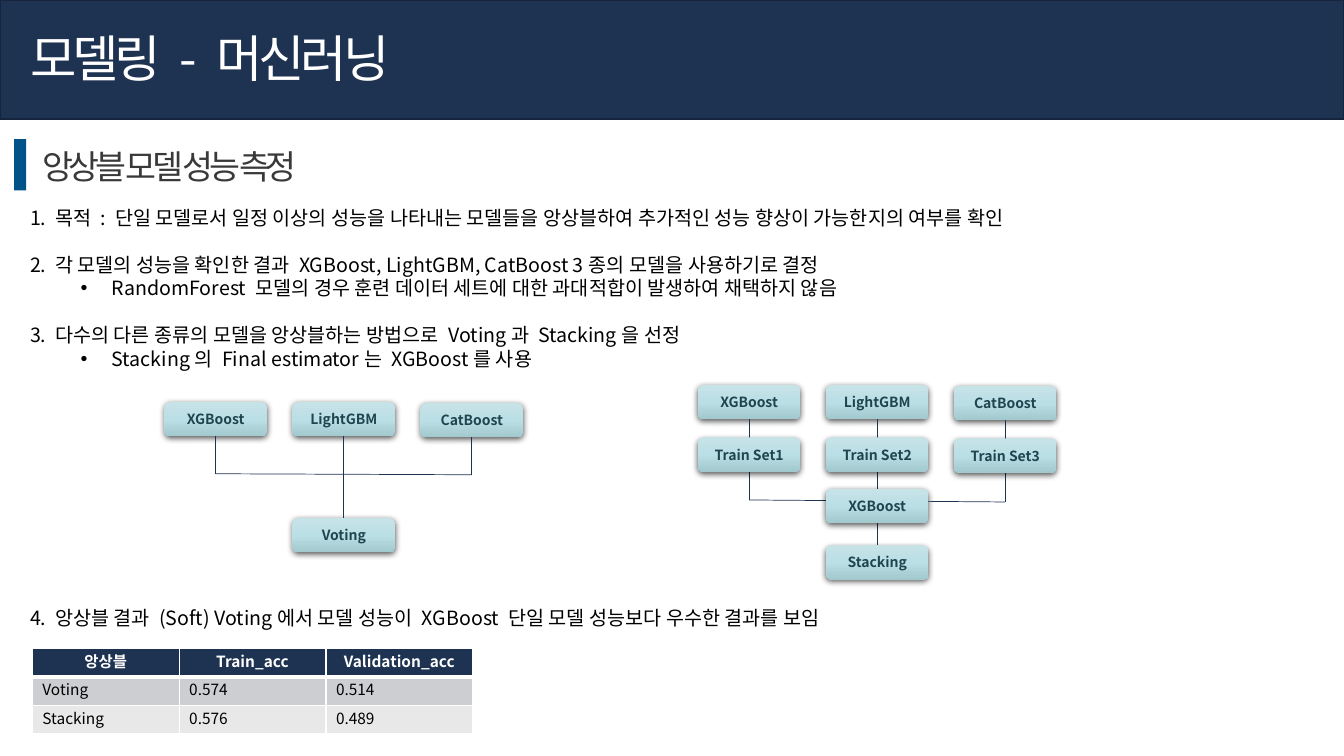
from dataclasses import dataclass

from lxml.etree import SubElement
from pptx import Presentation
from pptx.dml.color import RGBColor
from pptx.enum.shapes import MSO_CONNECTOR as CONN, MSO_SHAPE as SHAPE
from pptx.enum.text import MSO_ANCHOR as ANCHOR, MSO_AUTO_SIZE as FIT, PP_ALIGN as ALIGN
from pptx.oxml import parse_xml
from pptx.oxml.ns import nsdecls, qn
from pptx.util import Inches, Pt

FONT = "Noto Sans CJK KR"
NAVY = RGBColor(0x1E, 0x32, 0x52)
NAVY_EDGE = RGBColor(0x16, 0x25, 0x3D)
ACCENT = RGBColor(0x00, 0x52, 0x89)
GRAY = RGBColor(0x39, 0x39, 0x39)
TEAL = RGBColor(0x20, 0x45, 0x4E)
BLACK = RGBColor(0x00, 0x00, 0x00)
WHITE = RGBColor(0xFF, 0xFF, 0xFF)
BAND_DARK = RGBColor(0xCD, 0xCE, 0xD1)
BAND_LIGHT = RGBColor(0xE8, 0xE8, 0xE9)
NODE_STOPS = (
    (0, RGBColor(0xC6, 0xE3, 0xE8)),
    (50, RGBColor(0xBA, 0xDF, 0xE5)),
    (100, RGBColor(0xA2, 0xC9, 0xCE)),
)
NODE_W, NODE_H, NODE_STEP = 1.02, 0.34, 1.27
LINE_RATIO = 1.2


@dataclass
class Heading:
    text: str
    left: float
    top: float
    width: float
    height: float
    size: int
    color: RGBColor


@dataclass
class Item:
    text: str
    level: int = 0
    lines_before: int = 0


@dataclass
class Node:
    text: str
    col: int
    top: float


@dataclass
class Diagram:
    left: float
    bus_top: float
    bus_drop: float
    inputs: list[Node]
    output: Node
    middle: list[Node]


HEADINGS = [
    Heading("모델링 - 머신러닝", 0.2, 0.22, 3.88, 0.71, 36, WHITE),
    Heading("앙상블 모델 성능 측정", 0.32, 1.4, 3.08, 0.5, 24, GRAY),
]
ITEMS = [
    Item("목적 : 단일 모델로서 일정 이상의 성능을 나타내는 모델들을 앙상블하여 추가적인 성능 향상이 가능한지의 여부를 확인"),
    Item("각 모델의 성능을 확인한 결과 XGBoost, LightGBM, CatBoost 3종의 모델을 사용하기로 결정", 0, 1),
    Item("RandomForest 모델의 경우 훈련 데이터 세트에 대한 과대적합이 발생하여 채택하지 않음", 1),
    Item("다수의 다른 종류의 모델을 앙상블하는 방법으로 Voting과 Stacking을 선정", 0, 1),
    Item("Stacking의 Final estimator는 XGBoost를 사용", 1),
    Item("앙상블 결과 (Soft) Voting에서 모델 성능이 XGBoost 단일 모델 성능보다 우수한 결과를 보임", 0, 10),
]
ROWS = [
    ("앙상블", "Train_acc", "Validation_acc"),
    ("Voting", "0.574", "0.514"),
    ("Stacking", "0.576", "0.489"),
]
ROW_FILLS = (NAVY, BAND_DARK, BAND_LIGHT)


def node_row(names: tuple[str, ...], top: float) -> list[Node]:
    return [Node(name, i, top + (0.01 if i == 2 else 0)) for i, name in enumerate(names)]


MODELS = ("XGBoost", "LightGBM", "CatBoost")
TRAIN_SETS = ("Train Set1", "Train Set2", "Train Set3")
DIAGRAMS = [
    Diagram(1.63, 4.7, 0.01, node_row(MODELS, 3.99), Node("Voting", 1, 5.14), []),
    Diagram(6.92, 4.96, 0.02, node_row(MODELS, 3.82), Node("Stacking", 1, 5.41),
            node_row(TRAIN_SETS, 4.34) + [Node("XGBoost", 1, 4.85)]),
]


def style(p, size: int, color: RGBColor, bold: bool = False, spacing: int = 0) -> None:
    p.line_spacing = Pt(size * LINE_RATIO)
    for r in p.runs:
        r.font.size = Pt(size)
        r.font.name = FONT
        r.font.bold = bold
        r.font.color.rgb = color
        r_pr = r.font._element
        SubElement(r_pr, qn("a:ea")).set("typeface", FONT)
        if spacing:
            r_pr.set("spc", str(spacing * 100))


def add_block(s, left: float, top: float, width: float, height: float, color: RGBColor):
    sp = s.shapes.add_shape(SHAPE.RECTANGLE, Inches(left), Inches(top), Inches(width), Inches(height))
    sp.shadow.inherit = False
    sp.fill.solid()
    sp.fill.fore_color.rgb = color
    sp.line.fill.background()
    return sp


def add_heading(s, h: Heading) -> None:
    tf = s.shapes.add_textbox(Inches(h.left), Inches(h.top), Inches(h.width), Inches(h.height)).text_frame
    tf.word_wrap = False
    tf.auto_size = FIT.SHAPE_TO_FIT_TEXT
    tf.text = h.text
    style(tf.paragraphs[0], h.size, h.color, spacing=-3)


def add_items(s, items: list[Item]) -> None:
    tf = s.shapes.add_textbox(Inches(0.2), Inches(1.99), Inches(12.75), Inches(4.34)).text_frame
    tf.word_wrap = True
    tf.auto_size = FIT.SHAPE_TO_FIT_TEXT
    for i, item in enumerate(items):
        p = tf.add_paragraph() if i else tf.paragraphs[0]
        p.text = item.text
        p.level = item.level
        style(p, 14, BLACK)
        p.space_before = Pt(14 * LINE_RATIO * item.lines_before)
        margin, indent = ((0.25, -0.25), (0.81, -0.31))[item.level]
        p_pr = p._p.get_or_add_pPr()
        p_pr.set("marL", str(Inches(margin)))
        p_pr.set("indent", str(Inches(indent)))
        if item.level:
            SubElement(p_pr, qn("a:buFont")).set("typeface", "Arial")
            SubElement(p_pr, qn("a:buChar")).set("char", "•")
        else:
            SubElement(p_pr, qn("a:buAutoNum")).set("type", "arabicPeriod")


def add_node(shapes, left: float, node: Node):
    sp = shapes.add_shape(SHAPE.ROUNDED_RECTANGLE, Inches(left + node.col * NODE_STEP),
                          Inches(node.top), Inches(NODE_W), Inches(NODE_H))
    sp.line.fill.background()
    sp.shadow.inherit = False
    sp.fill.gradient()
    sp.fill.gradient_angle = 270
    sp_pr = sp._element.spPr
    stops = sp_pr.find(qn("a:gradFill")).find(qn("a:gsLst"))
    stops.clear()
    for pos, color in NODE_STOPS:
        gs = SubElement(stops, qn("a:gs"), pos=str(pos * 1000))
        SubElement(gs, qn("a:srgbClr"), val=str(color))
    sp_pr.find(qn("a:effectLst")).append(parse_xml(
        f'<a:outerShdw {nsdecls("a")} blurRad="{Pt(4.5)}" dist="{Pt(1.5)}" dir="5400000" rotWithShape="0">'
        '<a:srgbClr val="000000"><a:alpha val="63000"/></a:srgbClr></a:outerShdw>'))
    tf = sp.text_frame
    tf.vertical_anchor = ANCHOR.MIDDLE
    tf.text = node.text
    tf.paragraphs[0].alignment = ALIGN.CENTER
    style(tf.paragraphs[0], 10, TEAL, bold=True)
    return sp


def add_line(shapes, x1: float, y1: float, x2: float, y2: float):
    line = shapes.add_connector(CONN.STRAIGHT, Inches(x1), Inches(y1), Inches(x2), Inches(y2))
    line.line.color.rgb = NAVY
    line.line.width = Pt(0.5)
    SubElement(line._element.spPr, qn("a:effectLst"))
    return line


def add_diagram(s, d: Diagram) -> None:
    shapes = s.shapes.add_group_shape().shapes
    inputs = [add_node(shapes, d.left, node) for node in d.inputs]
    output = add_node(shapes, d.left, d.output)
    centers = [d.left + NODE_W / 2 + i * NODE_STEP for i in range(3)]
    ends = (d.bus_top, d.output.top, d.bus_top + d.bus_drop)
    for sp, node, x, end in zip(inputs, d.inputs, centers, ends):
        line = add_line(shapes, x, node.top + NODE_H, x, end)
        line.begin_connect(sp, 2)
        if node.col == d.output.col:
            line.end_connect(output, 0)
    add_line(shapes, centers[0], ends[0], centers[2], ends[2])
    for node in d.middle:
        add_node(shapes, d.left, node)


def add_scores(s) -> None:
    table = s.shapes.add_table(3, 3, Inches(0.32), Inches(6.43), Inches(4.37), Inches(0.85)).table
    for i, values in enumerate(ROWS):
        for j, value in enumerate(values):
            cell = table.cell(i, j)
            cell.text = value
            p = cell.text_frame.paragraphs[0]
            p.alignment = ALIGN.LEFT if i else ALIGN.CENTER
            style(p, 11, BLACK if i else WHITE, bold=i == 0)
            tc_pr = cell._tc.get_or_add_tcPr()
            for side in "LRTB":
                thick = (i, side) in ((0, "B"), (1, "T"))
                ln = SubElement(tc_pr, qn(f"a:ln{side}"), w=str(Pt(3 if thick else 1)))
                SubElement(SubElement(ln, qn("a:solidFill")), qn("a:srgbClr"), val=str(WHITE))
            cell.fill.solid()
            cell.fill.fore_color.rgb = ROW_FILLS[i]


def main() -> None:
    prs = Presentation()
    prs.slide_width, prs.slide_height = Inches(13.33), Inches(7.5)
    s = prs.slides.add_slide(prs.slide_layouts[6])
    banner = add_block(s, 0, 0, 13.33, 1.18, NAVY)
    banner.line.color.rgb = NAVY_EDGE
    banner.line.width = Pt(1)
    add_block(s, 0.14, 1.38, 0.12, 0.51, ACCENT)
    for heading in HEADINGS:
        add_heading(s, heading)
    add_items(s, ITEMS)
    add_scores(s)
    for diagram in DIAGRAMS:
        add_diagram(s, diagram)
    prs.save("out.pptx")


if __name__ == "__main__":
    main()
